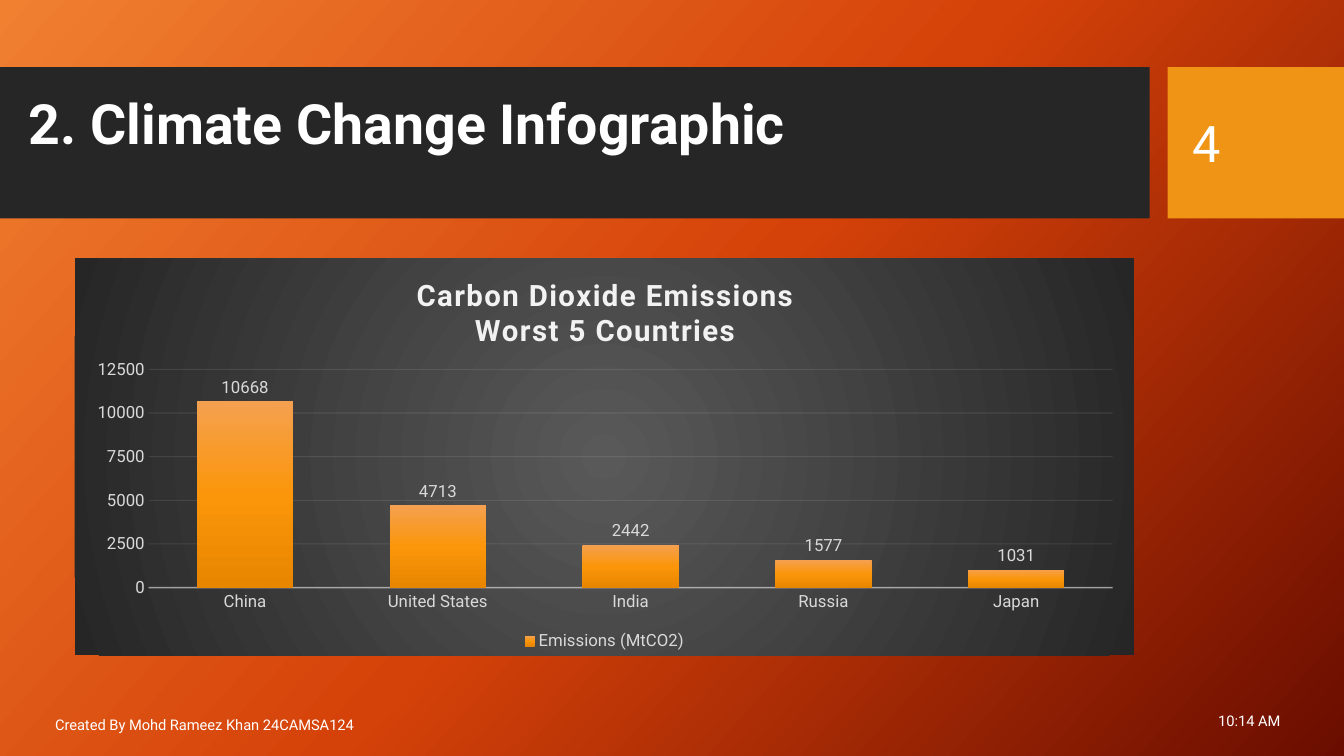
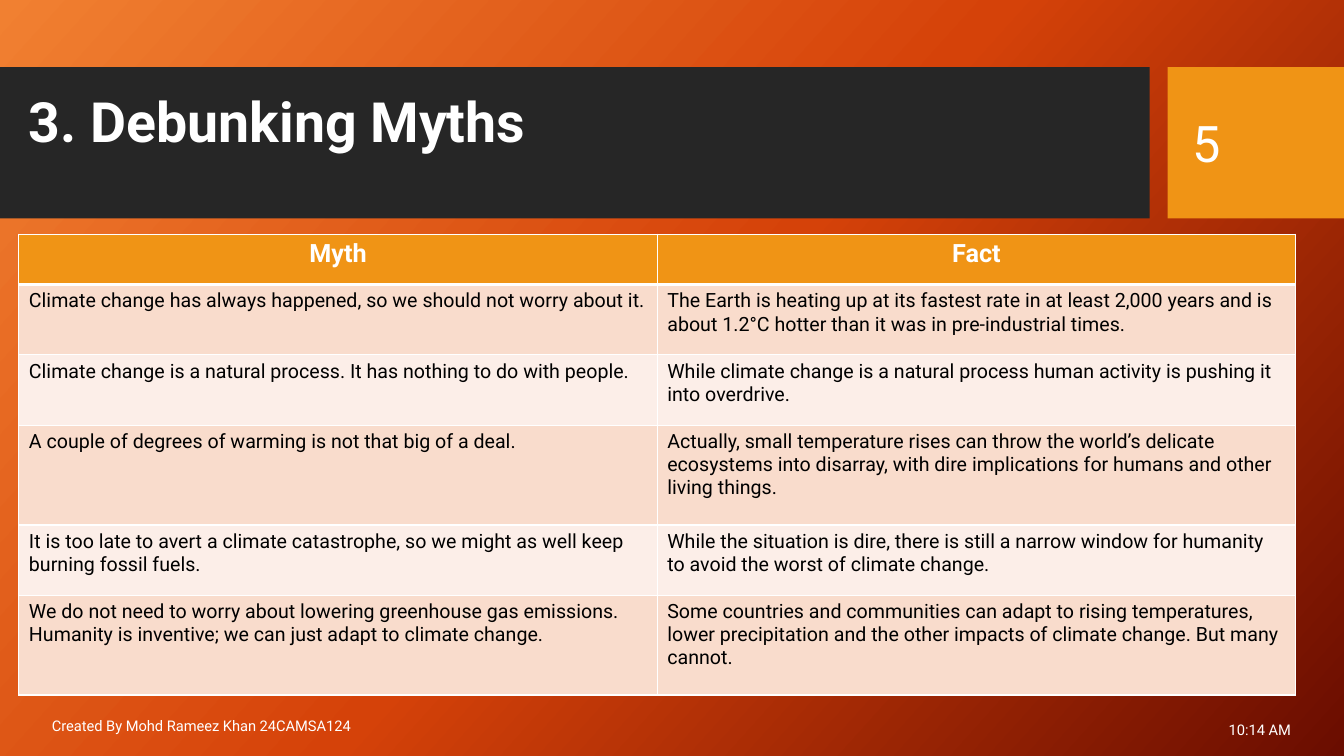
from dataclasses import dataclass
from typing import NamedTuple

from pptx import Presentation
from pptx.chart.data import CategoryChartData
from pptx.dml.color import RGBColor
from pptx.enum.chart import XL_CHART_TYPE as ChartType
from pptx.enum.chart import XL_LABEL_POSITION as LabelPos
from pptx.enum.chart import XL_LEGEND_POSITION as LegendPos
from pptx.enum.chart import XL_TICK_MARK as Tick
from pptx.enum.shapes import MSO_SHAPE as Shape
from pptx.enum.text import MSO_ANCHOR as Anchor
from pptx.enum.text import MSO_AUTO_SIZE as AutoSize
from pptx.enum.text import PP_ALIGN as Align
from pptx.oxml import parse_xml
from pptx.oxml.ns import nsdecls, qn
from pptx.util import Emu, Pt

# Theme
EMU_PER_PX = 9525
FONT = "Roboto"
WHITE = RGBColor(0xFF, 0xFF, 0xFF)
BLACK = RGBColor(0x00, 0x00, 0x00)
CHARCOAL = RGBColor(0x26, 0x26, 0x26)
GREY = RGBColor(0x59, 0x59, 0x59)
LABEL_GREY = RGBColor(0xD9, 0xD9, 0xD9)
PALE_GREY = RGBColor(0xF2, 0xF2, 0xF2)
ORANGE = RGBColor(0xF0, 0x94, 0x15)
ROW_TINTS = (RGBColor(0xF9, 0xDC, 0xCC), RGBColor(0xFC, 0xEE, 0xE8))
BACKDROP = (RGBColor(0xF1, 0x80, 0x31), RGBColor(0xD5, 0x42, 0x09),
            RGBColor(0x6A, 0x0D, 0x00))
BAR_SHADES = (RGBColor(0xF4, 0xA0, 0x50), RGBColor(0xFB, 0x96, 0x0A),
              RGBColor(0xE8, 0x86, 0x00))
RADIAL = ('<a:path path="circle"><a:fillToRect l="50000" t="50000" '
          'r="50000" b="50000"/></a:path>')
AUTHOR = "Created By Mohd Rameez Khan 24CAMSA124"
TIME = "10:14 AM"


def px(n: int) -> Emu:
    return Emu(n * EMU_PER_PX)


class Box(NamedTuple):
    left: int
    top: int
    width: int
    height: int

    def emu(self) -> tuple:
        return tuple(px(n) for n in self)


@dataclass(frozen=True)
class Frame:
    """Title, number and footer of one slide."""
    title: str
    number: str
    title_box: Box
    author_box: Box
    time_box: Box


# Content
BANDS = ((Box(0, 64, 1095, 144), CHARCOAL), (Box(1112, 64, 168, 144), ORANGE))
NUMBER_BOX = Box(1126, 79, 121, 114)
CHART_BOX = Box(71, 246, 1009, 378)

EMISSIONS = Frame("2. Climate Change Infographic", "4", Box(18, 91, 1009, 113),
                  Box(43, 671, 721, 38), Box(941, 667, 288, 38))
MYTHS = Frame("3. Debunking Myths", "5", Box(18, 89, 1009, 113),
              Box(40, 672, 721, 38), Box(951, 676, 288, 38))

COUNTRIES = {"China": 10668, "United States": 4713, "India": 2442,
             "Russia": 1577, "Japan": 1031}

TABLE_LEFT, TABLE_TOP, COL_WIDTH = 18, 223, 608
ROW_HEIGHTS = (48, 67, 67, 95, 67, 95)
MYTH_ROWS = (
    ("Myth", "Fact"),
    ("Climate change has always happened, so we should not worry about it.",
     "The Earth is heating up at its fastest rate in at least 2,000 years and "
     "is about 1.2°C hotter than it was in pre-industrial times."),
    ("Climate change is a natural process. It has nothing to do with people.",
     "While climate change is a natural process human activity is pushing it "
     "into overdrive."),
    ("A couple of degrees of warming is not that big of a deal.",
     "Actually, small temperature rises can throw the world’s delicate "
     "ecosystems into disarray, with dire implications for humans and other "
     "living things."),
    ("It is too late to avert a climate catastrophe, so we might as well keep "
     "burning fossil fuels.",
     "While the situation is dire, there is still a narrow window for humanity "
     "to avoid the worst of climate change."),
    ("We do not need to worry about lowering greenhouse gas emissions. "
     "Humanity is inventive; we can just adapt to climate change.",
     "Some countries and communities can adapt to rising temperatures, lower "
     "precipitation and the other impacts of climate change. But many cannot."),
)


# Formatting helpers
def set_font(font, size: float, color: RGBColor, bold: bool = False) -> None:
    font.name, font.size, font.bold = FONT, Pt(size), bold
    font.color.rgb = color


def linear(angle: int) -> str:
    return f'<a:lin ang="{angle * 60000}" scaled="0"/>'


def set_gradient(parent, colors: tuple, shading: str) -> None:
    """Replace the solid fill in parent with evenly spaced colour stops."""
    for old in parent.findall(qn("a:solidFill")):
        parent.remove(old)
    step = 100000 // (len(colors) - 1)
    stops = "".join(f'<a:gs pos="{i * step}"><a:srgbClr val="{c}"/></a:gs>'
                    for i, c in enumerate(colors))
    parent.insert(0, parse_xml(
        f'<a:gradFill {nsdecls("a")} rotWithShape="1"><a:gsLst>{stops}</a:gsLst>'
        f'{shading}</a:gradFill>'))


def set_line(line, color: RGBColor, width: float) -> None:
    line.color.rgb = color
    line.width = Pt(width)


def set_alpha(parent, percent: int) -> None:
    for color in parent.iter(qn("a:srgbClr")):
        color.append(parse_xml(f'<a:alpha {nsdecls("a")} val="{percent * 1000}"/>'))


def set_layout(parent, before: str, inner: bool = False, **place: float) -> None:
    """Fix the place of a chart part, as fractions of the chart."""
    for old in parent.findall(qn("c:layout")):
        parent.remove(old)
    target = '<c:layoutTarget val="inner"/>' if inner else ""
    modes = '<c:xMode val="edge"/><c:yMode val="edge"/>'
    values = "".join(f'<c:{k} val="{v}"/>' for k, v in place.items())
    parent.find(qn(before)).addprevious(parse_xml(
        f'<c:layout {nsdecls("c")}><c:manualLayout>{target}{modes}{values}'
        '</c:manualLayout></c:layout>'))


def set_borders(cell, top: float, bottom: float) -> None:
    tc_pr = cell._tc.get_or_add_tcPr()
    for i, (side, width) in enumerate(
            (("L", 1), ("R", 1), ("T", top), ("B", bottom))):
        tc_pr.insert(i, parse_xml(
            f'<a:ln{side} {nsdecls("a")} w="{Pt(width)}"><a:solidFill>'
            f'<a:srgbClr val="{WHITE}"/></a:solidFill></a:ln{side}>'))


# Shared parts
def add_bands(s, layout) -> None:
    """Draw the header bands and move them to the layout."""
    for box, color in BANDS:
        sp = s.shapes.add_shape(Shape.RECTANGLE, *box.emu())
        sp.shadow.inherit = False
        sp.fill.solid()
        sp.fill.fore_color.rgb = color
        sp.line.fill.background()
        layout.shapes.element.append(sp.element)


def add_text(s, box: Box, text: str, size: float, align=Align.LEFT) -> None:
    tf = s.shapes.add_textbox(*box.emu()).text_frame
    tf.word_wrap = True
    tf.vertical_anchor = Anchor.MIDDLE
    p = tf.paragraphs[0]
    p.text = text
    p.alignment = align
    set_font(p.runs[0].font, size, WHITE)


def add_slide(prs, layout, frame: Frame):
    s = prs.slides.add_slide(layout)
    title = s.shapes.title
    title.left, title.top, title.width, title.height = frame.title_box.emu()
    tf = title.text_frame
    tf.text = frame.title
    tf.auto_size = AutoSize.NONE
    tf.vertical_anchor = Anchor.TOP
    tf.margin_top = px(1)
    p = tf.paragraphs[0]
    p.alignment = Align.LEFT
    p.line_spacing = 0.9
    set_font(p.runs[0].font, 39.6, WHITE, bold=True)
    add_text(s, frame.author_box, AUTHOR, 10.5)
    add_text(s, NUMBER_BOX, frame.number, 36)
    add_text(s, frame.time_box, TIME, 10.5, Align.RIGHT)
    return s


# Slide bodies
def add_emissions_chart(s) -> None:
    data = CategoryChartData()
    data.categories = list(COUNTRIES)
    data.add_series("Emissions (MtCO2)", list(COUNTRIES.values()))
    chart = s.shapes.add_chart(ChartType.COLUMN_CLUSTERED, *CHART_BOX.emu(),
                               data).chart
    set_font(chart.font, 10, WHITE)
    root = chart.element

    # Title and legend
    tf = chart.chart_title.text_frame
    tf.text = "Carbon Dioxide Emissions\nWorst 5 Countries"
    for p in tf.paragraphs:
        p.alignment = Align.CENTER
        set_font(p.runs[0].font, 21, PALE_GREY, bold=True)
        p.runs[0].font._element.set("spc", "100")
    chart.chart_title.include_in_layout = False
    set_layout(root.find(".//" + qn("c:title")), "c:overlay", x=0.32, y=0.04)
    chart.has_legend = True
    chart.legend.position = LegendPos.BOTTOM
    chart.legend.include_in_layout = False
    set_font(chart.legend.font, 12, LABEL_GREY)

    # Axes
    cat_axis, val_axis = chart.category_axis, chart.value_axis
    for axis in (cat_axis, val_axis):
        axis.major_tick_mark = axis.minor_tick_mark = Tick.NONE
        set_font(axis.tick_labels.font, 12, LABEL_GREY)
    set_line(cat_axis.format.line, PALE_GREY, 1)
    set_alpha(root.find(f'.//{qn("c:catAx")}/{qn("c:spPr")}'), 54)
    val_axis.minimum_scale, val_axis.maximum_scale = 0, 12500
    val_axis.major_unit = 2500
    val_axis.format.line.fill.background()
    set_line(val_axis.major_gridlines.format.line, PALE_GREY, 0.75)
    set_alpha(root.find(".//" + qn("c:majorGridlines")), 10)

    # Columns
    plot = chart.plots[0]
    plot.vary_by_categories = False
    plot.gap_width, plot.overlap = 100, -24
    plot.series[0].format.fill.solid()
    set_gradient(root.find(f'.//{qn("c:ser")}/{qn("c:spPr")}'), BAR_SHADES,
                 linear(90))
    plot.has_data_labels = True
    labels = plot.data_labels
    labels.show_value = True
    labels.position = LabelPos.OUTSIDE_END
    set_font(labels.font, 12, LABEL_GREY)
    set_layout(root.find(".//" + qn("c:plotArea")), "c:barChart", inner=True,
               x=0.07, y=0.28, w=0.91, h=0.55)

    # Chart background
    sp_pr = parse_xml(f'<c:spPr {nsdecls("c", "a")}><a:ln><a:noFill/></a:ln></c:spPr>')
    set_gradient(sp_pr, (GREY, CHARCOAL), RADIAL)
    root.find(qn("c:chart")).addnext(sp_pr)


def add_myth_table(s) -> None:
    cols = len(MYTH_ROWS[0])
    box = Box(TABLE_LEFT, TABLE_TOP, COL_WIDTH * cols, sum(ROW_HEIGHTS))
    table = s.shapes.add_table(len(MYTH_ROWS), cols, *box.emu()).table
    for col in table.columns:
        col.width = px(COL_WIDTH)
    for i, (texts, height) in enumerate(zip(MYTH_ROWS, ROW_HEIGHTS)):
        header = i == 0
        table.rows[i].height = px(height)
        for j, text in enumerate(texts):
            cell = table.cell(i, j)
            cell.fill.solid()
            cell.fill.fore_color.rgb = ORANGE if header else ROW_TINTS[(i - 1) % 2]
            set_borders(cell, top=3 if i == 1 else 1, bottom=3 if header else 1)
            p = cell.text_frame.paragraphs[0]
            p.text = text
            p.alignment = Align.CENTER if header else Align.LEFT
            set_font(p.runs[0].font, 18 if header else 14,
                     WHITE if header else BLACK, bold=header)


def main() -> None:
    prs = Presentation()
    prs.slide_width, prs.slide_height = px(1280), px(720)
    master = prs.slide_master
    master.background.fill.solid()
    set_gradient(master.element.find(".//" + qn("p:bgPr")), BACKDROP, linear(42))
    layout = prs.slide_layouts.get_by_name("Title Only")

    s = add_slide(prs, layout, EMISSIONS)
    add_bands(s, layout)
    add_emissions_chart(s)

    add_myth_table(add_slide(prs, layout, MYTHS))
    prs.save("out.pptx")


if __name__ == "__main__":
    main()
